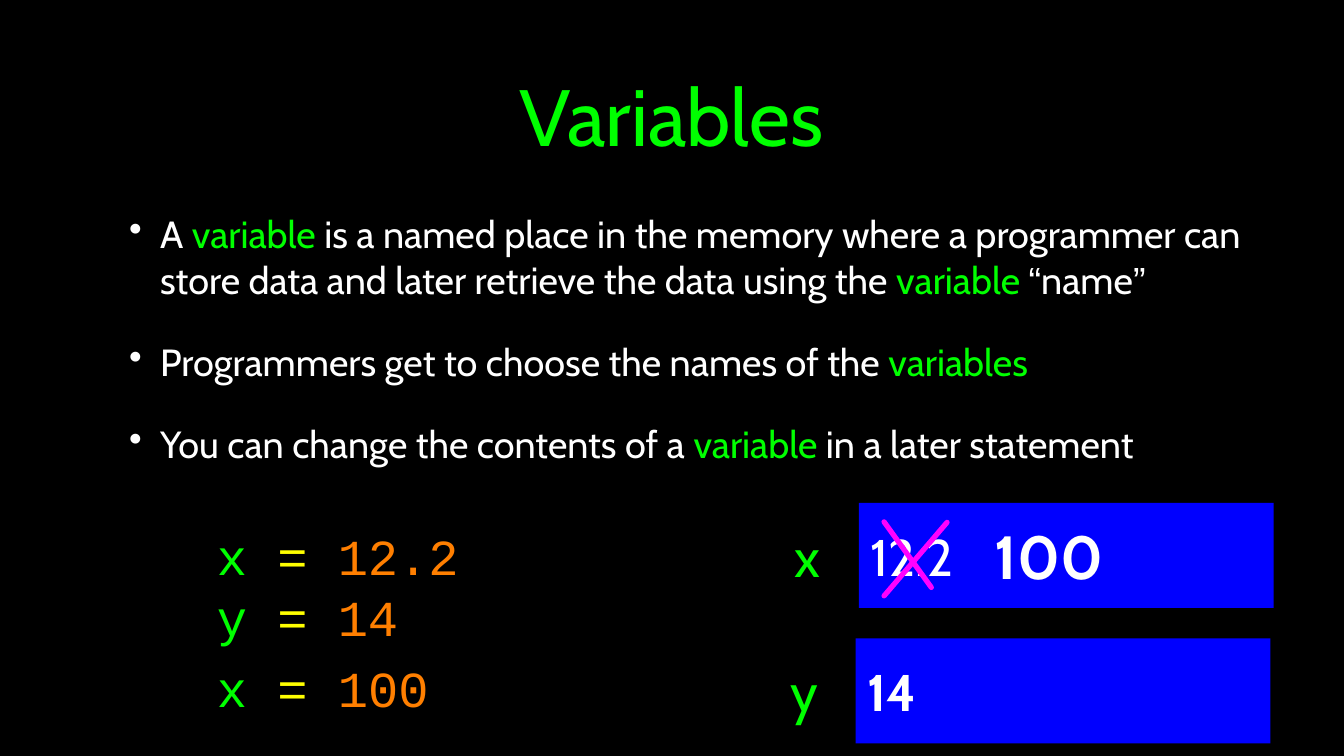
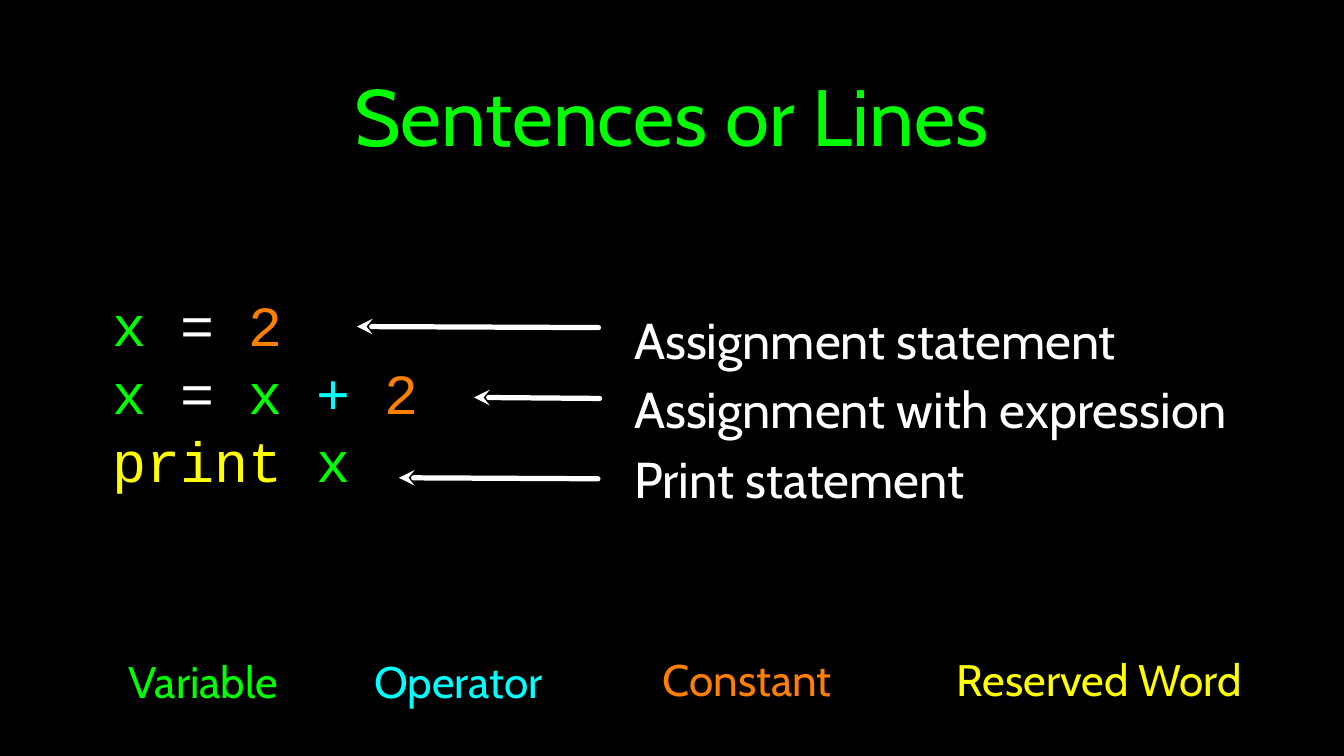
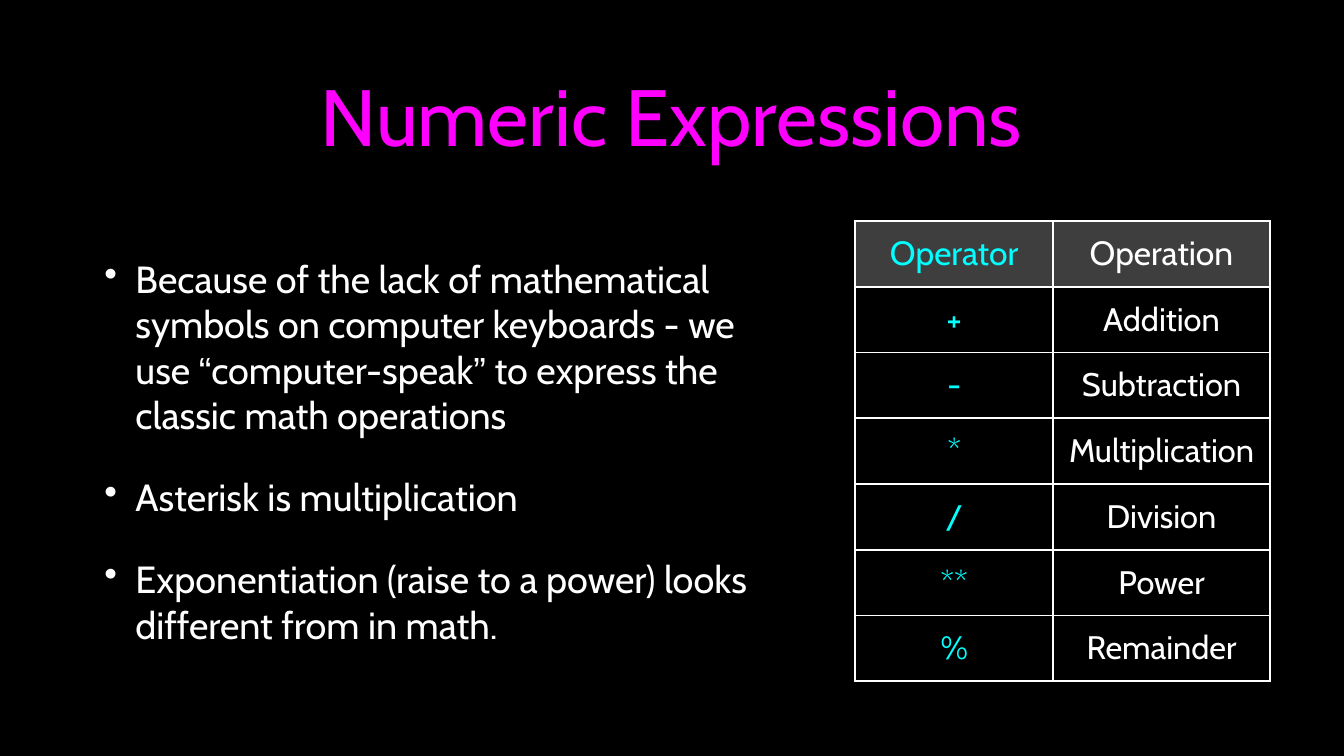
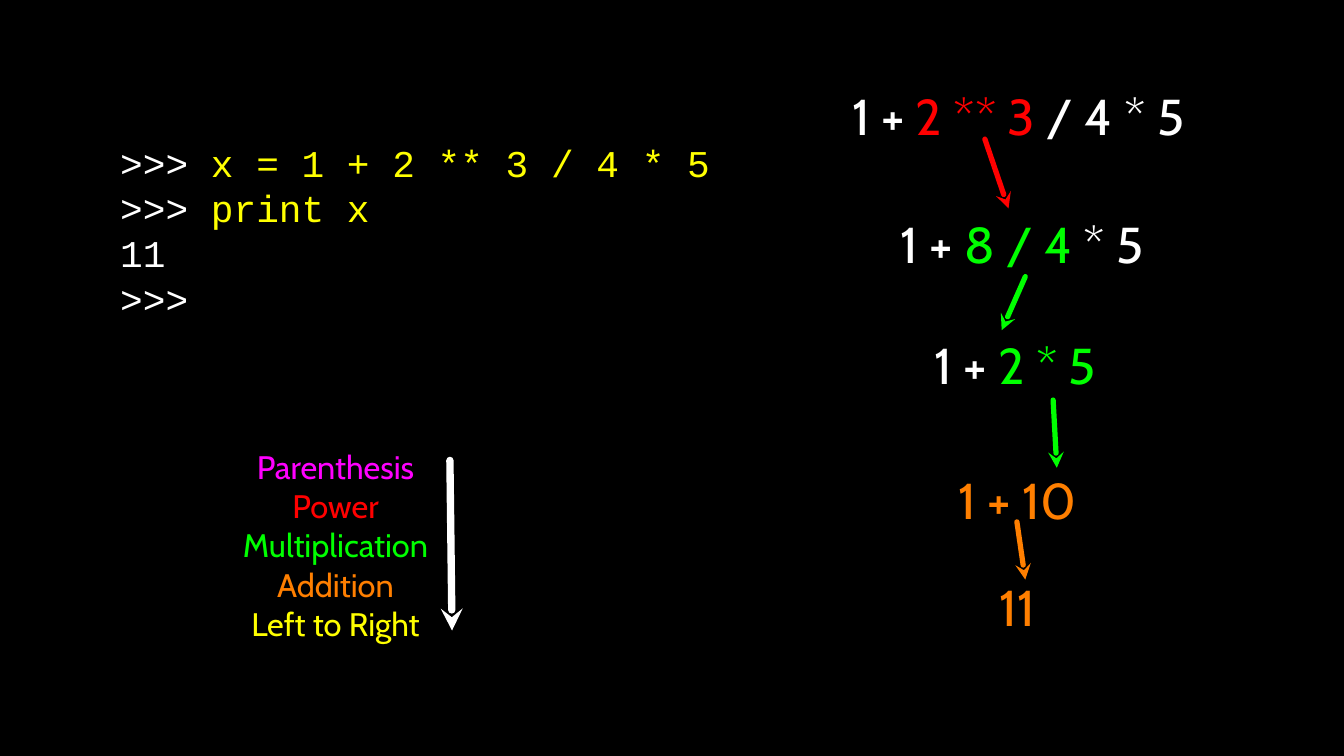
from lxml import etree
from pptx import Presentation
from pptx.dml.color import RGBColor
from pptx.enum.shapes import MSO_CONNECTOR, MSO_SHAPE
from pptx.enum.text import MSO_ANCHOR, PP_ALIGN
from pptx.oxml.ns import qn
from pptx.util import Pt

STRAIGHT = MSO_CONNECTOR.STRAIGHT
RECTANGLE = MSO_SHAPE.RECTANGLE
MIDDLE = MSO_ANCHOR.MIDDLE
LEFT, CENTER = PP_ALIGN.LEFT, PP_ALIGN.CENTER

BLACK = RGBColor(0x00, 0x00, 0x00)
WHITE = RGBColor(0xFF, 0xFF, 0xFF)
GREEN = RGBColor(0x00, 0xFF, 0x00)
YELLOW = RGBColor(0xFF, 0xFF, 0x00)
ORANGE = RGBColor(0xFF, 0x7F, 0x00)
CYAN = RGBColor(0x00, 0xFF, 0xFF)
MAGENTA = RGBColor(0xFF, 0x00, 0xFF)
RED = RGBColor(0xFF, 0x00, 0x00)
BLUE = RGBColor(0x00, 0x00, 0xFF)
GRAY = RGBColor(0x7F, 0x7F, 0x7F)

BODY_FONT, CODE_FONT, QUOTE_FONT = "Cabin", "Courier New", "Arial"
TITLE_BOX = (90.5, 18.5, 1097.5, 181)
INSET = 3


def child(parent, tag, **attributes):
    """Append a drawing element with the given attributes."""
    return etree.SubElement(parent, qn(tag), attributes)


def write(frame, lines, size, font=BODY_FONT, align=LEFT, bold=False, inset=0):
    """Fill a frame with lines of (text, colour[, font]) spans."""
    frame.word_wrap = True
    frame.vertical_anchor = MIDDLE
    frame.margin_left = frame.margin_right = Pt(inset)
    frame.margin_top = frame.margin_bottom = Pt(inset)
    for index, spans in enumerate(lines):
        para = frame.add_paragraph() if index else frame.paragraphs[0]
        para.alignment = align
        for text, colour, *other_font in spans:
            span = para.add_run()
            span.text = text
            span.font.name = other_font[0] if other_font else font
            span.font.size = Pt(size)
            span.font.bold = bold
            span.font.color.rgb = colour


def add_text(shapes, box, lines, size, **style):
    """Add a text box and return its frame."""
    frame = shapes.add_textbox(*map(Pt, box)).text_frame
    write(frame, lines, size, **style)
    return frame


def add_line(shapes, start, end, colour, width=5, arrow=True):
    """Draw a round-capped line with an optional arrowhead at its start."""
    line = shapes.add_connector(STRAIGHT, *map(Pt, (*start, *end)))
    line.line.color.rgb = colour
    line.line.width = Pt(width)
    outline = line.line._get_or_add_ln()
    outline.set("cap", "rnd")
    if arrow:
        child(outline, "a:headEnd", type="stealth")
    child(line._element.spPr, "a:effectLst")


def add_page(deck):
    """Add a blank black slide."""
    page = deck.slides.add_slide(deck.slide_layouts[6])
    page.background.fill.solid()
    page.background.fill.fore_color.rgb = BLACK
    return page


def add_title(page, text, colour=GREEN):
    """Place the slide title."""
    add_text(page.shapes, TITLE_BOX, [[(text, colour)]], 76, align=CENTER, inset=INSET)


def add_bullets(page, box, items):
    """Place a bulleted list with white bullets."""
    frame = add_text(page.shapes, box, items, 36, inset=INSET)
    for index, para in enumerate(frame.paragraphs):
        if index:
            para.space_before = Pt(35)
        properties = para._p.get_or_add_pPr()
        properties.set("marL", str(Pt(59)))
        properties.set("indent", str(Pt(-29.5)))
        child(child(properties, "a:buClr"), "a:srgbClr", val=str(WHITE))
        child(properties, "a:buChar", char="•")


def add_memory_cell(page, box, name, value, bold=False):
    """Draw a blue storage cell with its variable name on the left."""
    left, top, _, _ = box
    cell = page.shapes.add_shape(RECTANGLE, *map(Pt, box))
    cell.shadow.inherit = False
    cell.fill.solid()
    cell.fill.fore_color.rgb = BLUE
    cell.line.fill.background()
    write(cell.text_frame, [[(" " + value, WHITE)]], 49, bold=bold)
    add_text(page.shapes, (left - 67, top + 16, 35, 68), [[(name, GREEN)]], 52,
             align=CENTER)


def add_replacement(page, box, value):
    """Cross out the value in a storage cell and write the new one beside it."""
    left, top, _, _ = box
    cross = page.shapes.add_group_shape().shapes
    for start, end in (((84, 18.5), (24, 88.5)), ((24, 18), (69, 80.5))):
        add_line(cross, (left + start[0], top + start[1]),
                 (left + end[0], top + end[1]), MAGENTA, arrow=False)
    add_text(page.shapes, (left + 115, top + 13, 132, 74), [[(value, WHITE)]], 58,
             align=CENTER, bold=True)


def add_arrow_labels(page, box, labels, arrows):
    """Place statement descriptions and the arrows that point to the code."""
    left, top, _, _ = box
    frame = add_text(page.shapes, box, [[(label, WHITE)] for label in labels], 48)
    for para in frame.paragraphs:
        para.line_spacing = 1.15
    for tip, tail, height in arrows:
        add_line(page.shapes, (left + tip, top + height),
                 (left + tail, top + height + 1), WHITE)


def add_legend(page, box, entries):
    """Place the coloured word classes along the foot of the slide."""
    left, top, _, height = box
    for text, colour, across, down, width in entries:
        add_text(page.shapes, (left + across, top + down, width, height),
                 [[(text, colour)]], 42, align=CENTER)


def fill_cell(cell, text, colour, size, shaded):
    """Write one table cell, outline it, and shade it if it is a heading."""
    write(cell.text_frame, [[(text, colour)]], size, align=CENTER)
    cell.vertical_anchor = MIDDLE
    cell.margin_left = cell.margin_right = Pt(INSET)
    cell.margin_top = cell.margin_bottom = Pt(INSET)
    properties = cell._tc.get_or_add_tcPr()
    for side in ("a:lnL", "a:lnR", "a:lnT", "a:lnB"):
        border = child(properties, side, w=str(Pt(2)))
        child(child(border, "a:solidFill"), "a:srgbClr", val=str(WHITE))
    if shaded:
        cell.fill.solid()
        cell.fill.fore_color.rgb = GRAY
        tint = properties.find(qn("a:solidFill")).find(qn("a:srgbClr"))
        child(tint, "a:alpha", val="49000")
    else:
        cell.fill.background()


def add_operator_table(page, box, rows):
    """Place the table of operators and their operations."""
    table = page.shapes.add_table(len(rows), 2, *map(Pt, box)).table
    table.first_row = table.horz_banding = False
    for column, width in zip(table.columns, (188.5, 206.5)):
        column.width = Pt(width)
    for index, row in enumerate(rows):
        table.rows[index].height = Pt(box[3] / len(rows))
        for column, (text, colour) in enumerate(zip(row, (CYAN, WHITE))):
            fill_cell(table.cell(index, column), text, colour,
                      31 if index else 32, index == 0)


def add_precedence(page, box, levels):
    """List the precedence levels beside a downward arrow."""
    left, top, _, _ = box
    group = page.shapes.add_group_shape().shapes
    add_text(group, box, [[level] for level in levels], 31, align=CENTER)
    add_line(group, (left + 200, top + 173), (left + 198, top + 11), WHITE, 7)


def add_evaluation(page, box, steps, arrows):
    """Show an expression reduced step by step, with arrows between the steps."""
    left, top, _, _ = box
    for across, down, width, spans in steps:
        add_text(page.shapes, (left + across, top + down, width, 63), [spans], 48)
    for tip, tail, colour in arrows:
        add_line(page.shapes, (left + tip[0], top + tip[1]),
                 (left + tail[0], top + tail[1]), colour)


def build_variables(deck):
    """Build the slide about variables."""
    page = add_page(deck)
    add_title(page, "Variables")
    add_bullets(page, (90.5, 191, 1097.5, 263), [
        [("A ", WHITE), ("variable", GREEN),
         (" is a named place in the memory where a programmer can store data "
          "and later retrieve the data using the ", WHITE),
         ("variable ", GREEN), ("“", WHITE, QUOTE_FONT), ("name", WHITE),
         ("”", WHITE, QUOTE_FONT)],
        [("Programmers get to choose the names of the ", WHITE), ("variables", GREEN)],
        [("You can change the contents of a ", WHITE), ("variable ", GREEN),
         ("in a later statement", WHITE)],
    ])
    x_cell = (818, 479, 395, 100)
    add_memory_cell(page, x_cell, "x", "12.2")
    add_memory_cell(page, (815, 608, 395, 100), "y", "14", bold=True)
    add_replacement(page, x_cell, "100")
    assignments = [[(name, GREEN), (" = ", YELLOW), (value, ORANGE)]
                   for name, value in (("x", "12.2"), ("y", "14"), ("x", "100"))]
    add_text(page.shapes, (206.5, 491, 318, 134), assignments[:2], 48, font=CODE_FONT)
    add_text(page.shapes, (206.5, 620.5, 298, 68), assignments[2:], 48, font=CODE_FONT)


def build_sentences(deck):
    """Build the slide about kinds of statements."""
    page = add_page(deck)
    add_title(page, "Sentences or Lines")
    add_text(page.shapes, (107, 214, 344, 318), [
        [("x ", GREEN), ("=", WHITE), (" 2", ORANGE)],
        [("x ", GREEN), ("= ", WHITE), ("x ", GREEN), ("+", CYAN), (" 2", ORANGE)],
        [("print ", YELLOW), ("x", GREEN)],
    ], 54, font=CODE_FONT)
    add_arrow_labels(
        page, (604, 226, 623, 318),
        ["Assignment statement", "Assignment with expression", "Print statement"],
        [(-264, -34, 85), (-152.5, -33, 152.5), (-224, -34.5, 229)])
    add_legend(page, (107, 618, 1077, 57), [
        ("Variable", GREEN, 0, 2, 173),
        ("Operator", CYAN, 243, 2, 173),
        ("Constant", ORANGE, 521.5, 0, 166),
        ("Reserved Word", YELLOW, 802.5, 0, 275),
    ])


def build_expressions(deck):
    """Build the slide about numeric operators."""
    page = add_page(deck)
    add_title(page, "Numeric Expressions", MAGENTA)
    add_bullets(page, (67, 205, 665.5, 449.5), [
        [("Because of the lack of mathematical symbols on computer keyboards "
          "- we use ", WHITE), ("“", WHITE, QUOTE_FONT), ("computer-speak", WHITE),
         ("”", WHITE, QUOTE_FONT),
         (" to express the classic math operations", WHITE)],
        [("Asterisk is multiplication", WHITE)],
        [("Exponentiation (raise to a power) looks different from in math.", WHITE)],
    ])
    add_operator_table(page, (814.5, 210.5, 395, 438.5), [
        ("Operator", "Operation"), ("+", "Addition"), ("-", "Subtraction"),
        ("*", "Multiplication"), ("/", "Division"), ("**", "Power"),
        ("%", "Remainder"),
    ])


def build_evaluation(deck):
    """Build the slide that evaluates an expression."""
    page = add_page(deck)
    add_precedence(page, (230.5, 427.5, 178, 183), [
        ("Parenthesis", MAGENTA), ("Power", RED), ("Multiplication", GREEN),
        ("Addition", ORANGE), ("Left to Right", YELLOW),
    ])
    add_evaluation(page, (811.5, 78, 337, 531), [
        (0, 0, 337, [("1 + ", WHITE), ("2 ** 3", RED), (" / 4 * 5", WHITE)]),
        (46, 122, 246, [("1 + ", WHITE), ("8 / 4", GREEN), (" * 5", WHITE)]),
        (78.5, 237.5, 182, [("1 + ", WHITE), ("2 * 5", GREEN)]),
        (101.5, 366, 135, [("1 + 10", ORANGE)]),
        (140.5, 468, 57, [("11", ORANGE)]),
    ], [
        ((149, 120.5), (126.5, 54.5), RED),
        ((142.5, 236.5), (165, 185.5), GREEN),
        ((195, 367.5), (191.5, 303), GREEN),
        ((165, 474), (157, 419), ORANGE),
    ])
    add_text(page.shapes, (114.5, 103, 579, 232.5), [
        [(">>> ", WHITE), ("x = 1 + 2 ** 3 / 4 * 5", YELLOW)],
        [(">>> ", WHITE), ("print x", YELLOW)],
        [("11", WHITE)],
        [(">>>", WHITE)],
    ], 36, font=CODE_FONT)


def main():
    """Build and save the deck."""
    deck = Presentation()
    deck.slide_width, deck.slide_height = Pt(1280), Pt(720)
    build_variables(deck)
    build_sentences(deck)
    build_expressions(deck)
    build_evaluation(deck)
    deck.save("out.pptx")


if __name__ == "__main__":
    main()
